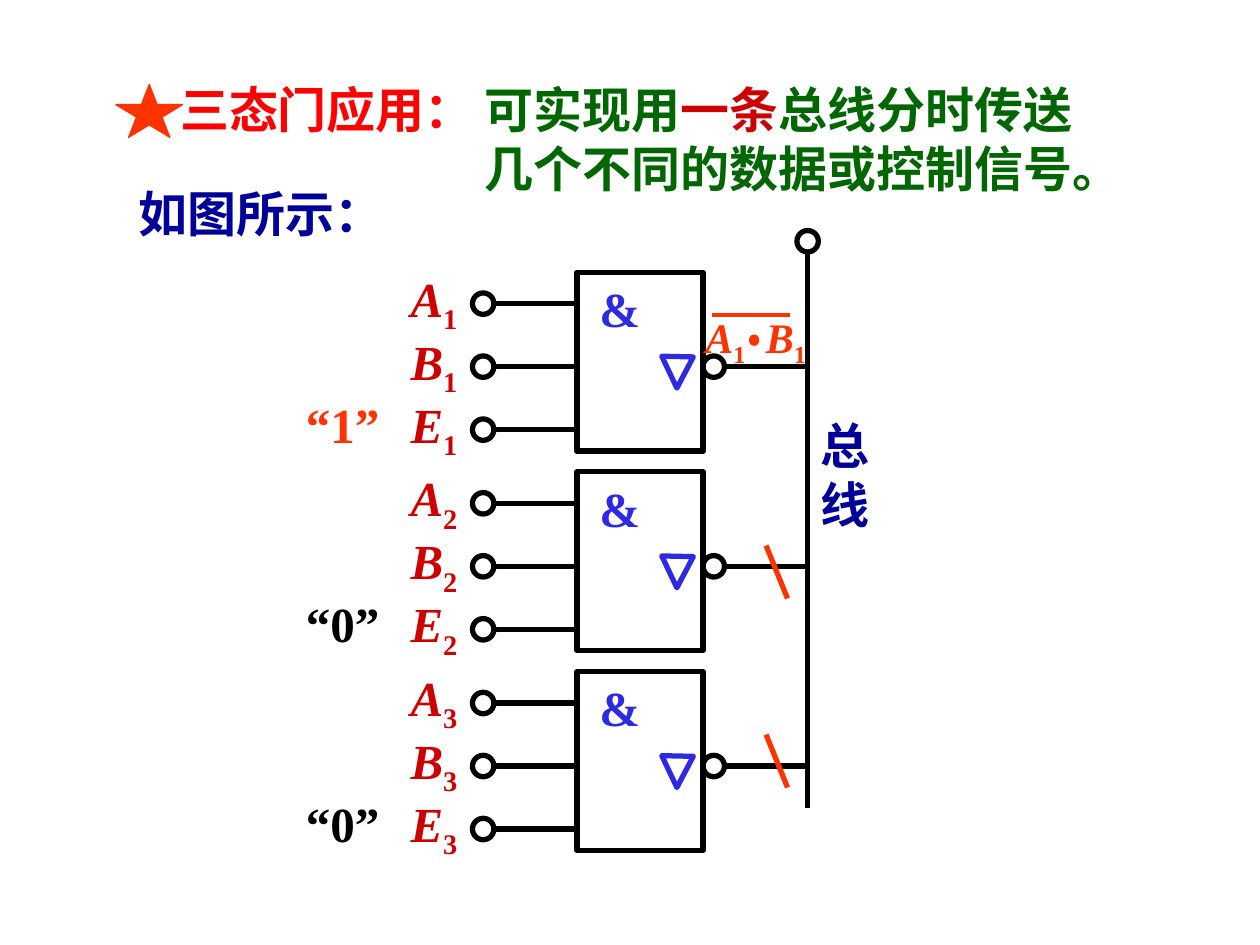
from dataclasses import dataclass

from lxml import etree
from pptx import Presentation
from pptx.dml.color import RGBColor
from pptx.enum.shapes import MSO_CONNECTOR, MSO_SHAPE
from pptx.enum.text import MSO_ANCHOR, MSO_AUTO_SIZE, PP_ALIGN
from pptx.oxml.ns import qn
from pptx.util import Inches, Pt

STRAIGHT = MSO_CONNECTOR.STRAIGHT
OVAL, RECTANGLE = MSO_SHAPE.OVAL, MSO_SHAPE.RECTANGLE
STAR, TRIANGLE = MSO_SHAPE.STAR_5_POINT, MSO_SHAPE.ISOSCELES_TRIANGLE
TOP, LEFT, NO_FIT = MSO_ANCHOR.TOP, PP_ALIGN.LEFT, MSO_AUTO_SIZE.NONE


@dataclass(frozen=True)
class Theme:
    font: str = "Times New Roman"
    title: str = "FF0000"
    accent: str = "FF3300"
    body: str = "006600"
    signal: str = "CC0000"
    caption: str = "000099"
    symbol: str = "2E2AE2"
    ink: str = "000000"
    text_size: float = 28
    formula_size: float = 24
    stroke: float = 3
    thin_stroke: float = 2.25
    outline: float = 0.75


THEME = Theme()
TEXT_HEIGHT = 0.57
RING = 0.17
GATE_WIDTH, GATE_HEIGHT = 1, 1.42
PIN_GAP = 0.5
BUS_X = 6.41


def rgb(color):
    return RGBColor.from_string(color)


def add_span(para, text, color, size=THEME.text_size, italic=False, subscript=False):
    span = para.add_run()
    span.text = text
    font = span.font
    font.name, font.size, font.bold, font.italic = THEME.font, Pt(size), True, italic
    font.color.rgb = rgb(color)
    if subscript:
        span._r.get_or_add_rPr().set("baseline", "-25000")


def add_label(page, left, top, width, height=TEXT_HEIGHT, spans=(), wrap=True):
    """Add a text box from (text, colour) pairs and return its paragraph."""
    box = page.shapes.add_textbox(Inches(left), Inches(top), Inches(width), Inches(height))
    box.text_frame.word_wrap = wrap
    para = box.text_frame.paragraphs[0]
    for text, color in spans:
        add_span(para, text, color)
    return para


def add_signal(para, letter, index, color, size=THEME.text_size):
    add_span(para, letter, color, size, italic=True)
    add_span(para, index, color, size, subscript=True)


def add_line(page, x1, y1, x2, y2, color=THEME.ink, weight=THEME.stroke):
    line = page.shapes.add_connector(STRAIGHT, Inches(x1), Inches(y1), Inches(x2), Inches(y2))
    line.line.color.rgb = rgb(color)
    line.line.width = Pt(weight)
    etree.SubElement(line._element.spPr, qn("a:effectLst"))


def add_figure(page, kind, left, top, width, height, color=THEME.ink,
               weight=THEME.stroke, filled=False):
    figure = page.shapes.add_shape(kind, Inches(left), Inches(top), Inches(width), Inches(height))
    figure.shadow.inherit = False
    if filled:
        figure.fill.solid()
        figure.fill.fore_color.rgb = rgb(color)
    else:
        figure.fill.background()
    figure.line.color.rgb = rgb(color)
    figure.line.width = Pt(weight)
    return figure


def add_ring(page, left, center_y):
    add_figure(page, OVAL, left, center_y - RING / 2, RING, RING)


def add_heading(page, left, top):
    title = page.shapes.title
    title.left, title.top = Inches(left + 0.41), Inches(top)
    title.width, title.height = Inches(2.33), Inches(TEXT_HEIGHT)
    frame = title.text_frame
    frame.auto_size, frame.vertical_anchor, frame.word_wrap = NO_FIT, TOP, True
    frame.paragraphs[0].alignment = LEFT
    add_span(frame.paragraphs[0], "三态门应用：", THEME.title)
    add_figure(page, STAR, left, top + 0.09, 0.53, 0.42, THEME.accent, THEME.outline, filled=True)
    add_label(page, left + 2.83, top, 4.92, 1.03, [
        ("可实现用", THEME.body),
        ("一条", THEME.signal),
        ("总线分时传送几个不同的数据或控制信号。", THEME.body),
    ])
    add_label(page, left + 0.08, top + 0.83, 2, spans=[("如图所示：", THEME.caption)])


def add_bus(page, top, bottom):
    add_line(page, BUS_X, top + RING, BUS_X, bottom)
    add_ring(page, BUS_X - RING / 2, top + RING / 2)
    add_label(page, BUS_X, top + 1.42, 0.58, 1.03, [("总线", THEME.caption)])


def add_gate(page, left, top, index, enable, enable_color):
    """Add one three-state gate with its inputs, enable value and bus output."""
    add_figure(page, RECTANGLE, left, top, GATE_WIDTH, GATE_HEIGHT)
    for row, letter in enumerate("ABE"):
        pin_y = top + 0.25 + row * PIN_GAP
        add_line(page, left - 0.67, pin_y, left, pin_y)
        add_ring(page, left - 0.83, pin_y)
        para = add_label(page, left - 1.42, pin_y - 0.33, 0.59, wrap=False)
        add_signal(para, letter, index, THEME.signal)
    add_label(page, left - 2.25, top + 0.92, 0.78,
              spans=[(f"“{enable}”", enable_color)], wrap=False)
    output_y = top + 0.25 + PIN_GAP
    right = left + GATE_WIDTH
    add_ring(page, right, output_y)
    add_line(page, right + RING, output_y, BUS_X, output_y)
    add_label(page, left + 0.08, top, 0.5, spans=[("&", THEME.symbol)])
    triangle = add_figure(page, TRIANGLE, left + 0.67, top + 0.67, 0.25, 0.25, THEME.symbol)
    triangle.rotation = 181.2


def add_output_formula(page, left, top):
    """Add the negated product carried by the enabled gate."""
    color, size = THEME.accent, THEME.formula_size
    add_line(page, left + 0.15, top + 0.08, left + 0.77, top + 0.08, color, THEME.thin_stroke)
    para = add_label(page, left, top, 1.08, 0.5)
    tabs = etree.SubElement(para._p.get_or_add_pPr(), qn("a:tabLst"))
    etree.SubElement(tabs, qn("a:tab"), pos=str(Inches(0.48)), algn="l")
    add_signal(para, "A", "1", color, size)
    add_span(para, "\t", color, size)
    add_signal(para, "B", "1", color, size)
    add_figure(page, OVAL, left + 0.46, top + 0.25, 0.05, 0.06, color,
               THEME.thin_stroke, filled=True)


def main():
    deck = Presentation()
    deck.slide_width, deck.slide_height = Inches(10), Inches(7.5)
    page = deck.slides.add_slide(deck.slide_layouts[5])
    add_heading(page, 0.92, 0.58)
    add_bus(page, 1.83, 6.41)
    gates = [("1", THEME.accent), ("0", THEME.ink), ("0", THEME.ink)]
    for number, (enable, color) in enumerate(gates):
        add_gate(page, 4.58, 2.16 + number * 1.585, str(number + 1), enable, color)
    for cut_top in (4.33, 5.83):
        add_line(page, 6.08, cut_top, 6.25, cut_top + 0.42, THEME.accent)
    add_output_formula(page, 5.5, 2.42)
    deck.save("out.pptx")


if __name__ == "__main__":
    main()
